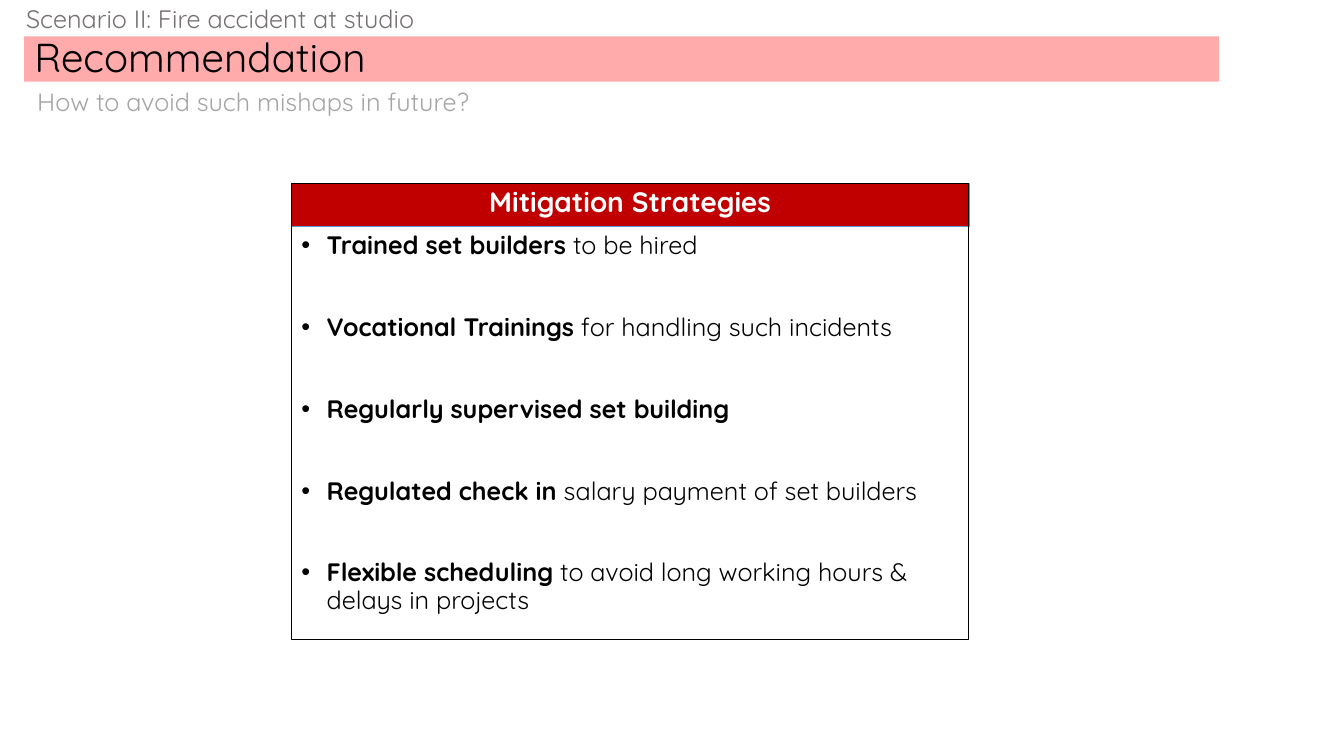
from pptx import Presentation
from pptx.dml.color import RGBColor
from pptx.enum import shapes, text
from pptx.oxml import parse_xml
from pptx.oxml.ns import nsdecls
from pptx.util import Inches, Pt

FONT = "Quicksand"
BLACK = RGBColor(0x00, 0x00, 0x00)
WHITE = RGBColor(0xFF, 0xFF, 0xFF)
PINK = RGBColor(0xFF, 0xAB, 0xAB)
RED = RGBColor(0xC0, 0x00, 0x00)
BLUE = RGBColor(0x5B, 0x9B, 0xD5)
GREY = RGBColor(0x76, 0x71, 0x71)
PALE = RGBColor(0xA5, 0xA5, 0xA5)


def place(shape, left, top, width, height):
    shape.left, shape.top = Inches(left), Inches(top)
    shape.width, shape.height = Inches(width), Inches(height)


def style(para, size, color, bold=False):
    para.font.name = FONT
    para.font.size = Pt(size)
    para.font.color.rgb = color
    para.font.bold = bold


deck = Presentation()
deck.slide_width, deck.slide_height = Inches(13.33), Inches(7.5)
slide = deck.slides.add_slide(deck.slide_layouts[1])

# Title banner
title = slide.shapes.title
place(title, 0.24, 0.36, 11.85, 0.45)
title.fill.solid()
title.fill.fore_color.rgb = PINK
frame = title.text_frame
frame.text = "Recommendation"
frame.auto_size = text.MSO_AUTO_SIZE.NONE
frame.vertical_anchor = text.MSO_ANCHOR.MIDDLE
para = frame.paragraphs[0]
para.alignment = text.PP_ALIGN.LEFT
para.line_spacing = 0.9
style(para, 28.8, BLACK)

# Lines above and below the banner
labels = [
    ("Scenario II: Fire accident at studio", 0.16, -0.02, 4.34, GREY),
    ("How to avoid such mishaps in future?", 0.27, 0.81, 4.74, PALE),
]
for words, left, top, width, color in labels:
    label = slide.shapes.add_textbox(Inches(left), Inches(top), Inches(width), Inches(0.4))
    label.text_frame.word_wrap = False
    label.text_frame.text = words
    style(label.text_frame.paragraphs[0], 18, color)

# Red header band
band = slide.shapes.add_shape(
    shapes.MSO_SHAPE.RECTANGLE, Inches(2.89), Inches(1.82), Inches(6.72), Inches(0.43))
band.shadow.inherit = False
band.fill.solid()
band.fill.fore_color.rgb = RED
band.line.color.rgb = BLUE
band.line.width = Pt(1)

# Framed list, in front of the band
body = slide.placeholders[1]
slide.shapes._spTree.append(body._element)
place(body, 2.89, 1.82, 6.72, 4.52)
body.line.color.rgb = BLACK
body.line.width = Pt(0.75)
frame = body.text_frame
frame.auto_size = text.MSO_AUTO_SIZE.NONE
frame.text = "Mitigation Strategies"
head = frame.paragraphs[0]
head.alignment = text.PP_ALIGN.CENTER
head.line_spacing = 0.9
head.space_before = Pt(10)
style(head, 20, WHITE, True)
props = head._p.get_or_add_pPr()
props.set("marL", "0")
props.set("indent", "0")
props.insert_element_before(
    parse_xml(f"<a:buNone {nsdecls('a')}/>"), "a:tabLst", "a:defRPr", "a:extLst")

# Bullets: bold lead, then plain remainder
points = [
    ("Trained set builders", " to be hired"),
    ("Vocational Trainings", " for handling such incidents"),
    ("Regularly supervised set building", ""),
    ("Regulated check in", " salary payment of set builders"),
    ("Flexible scheduling", " to avoid long working hours & delays in projects"),
]
for i, (lead, rest) in enumerate(points):
    para = frame.add_paragraph()
    para.line_spacing = 0.9
    para.space_before = Pt(39 if i else 10)
    style(para, 18, BLACK)
    props = para._p.get_or_add_pPr()
    props.set("marL", str(Inches(0.25)))
    props.set("indent", str(-Inches(0.25)))
    props.insert_element_before(
        parse_xml(f"<a:buChar {nsdecls('a')} char='•'/>"), "a:tabLst", "a:defRPr", "a:extLst")
    run = para.add_run()
    run.text = lead
    run.font.bold = True
    if rest:
        para.add_run().text = rest

deck.save("out.pptx")
